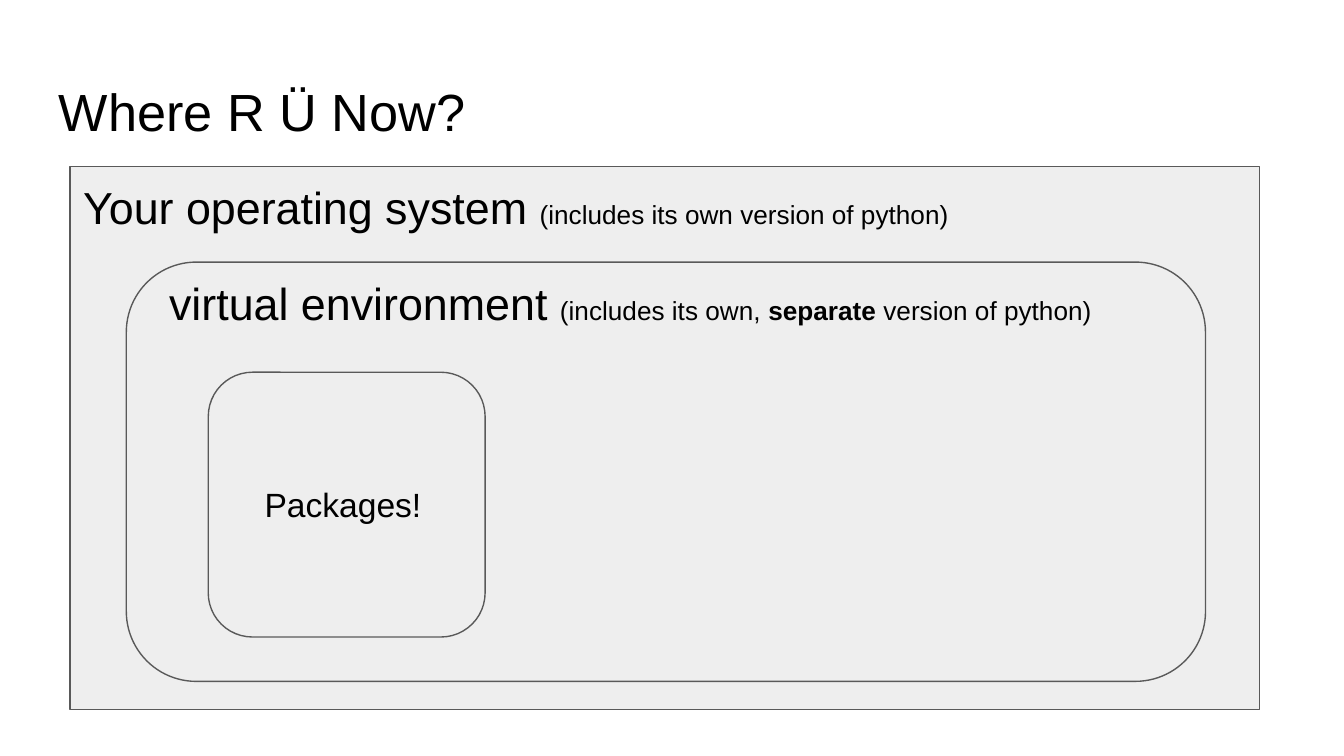
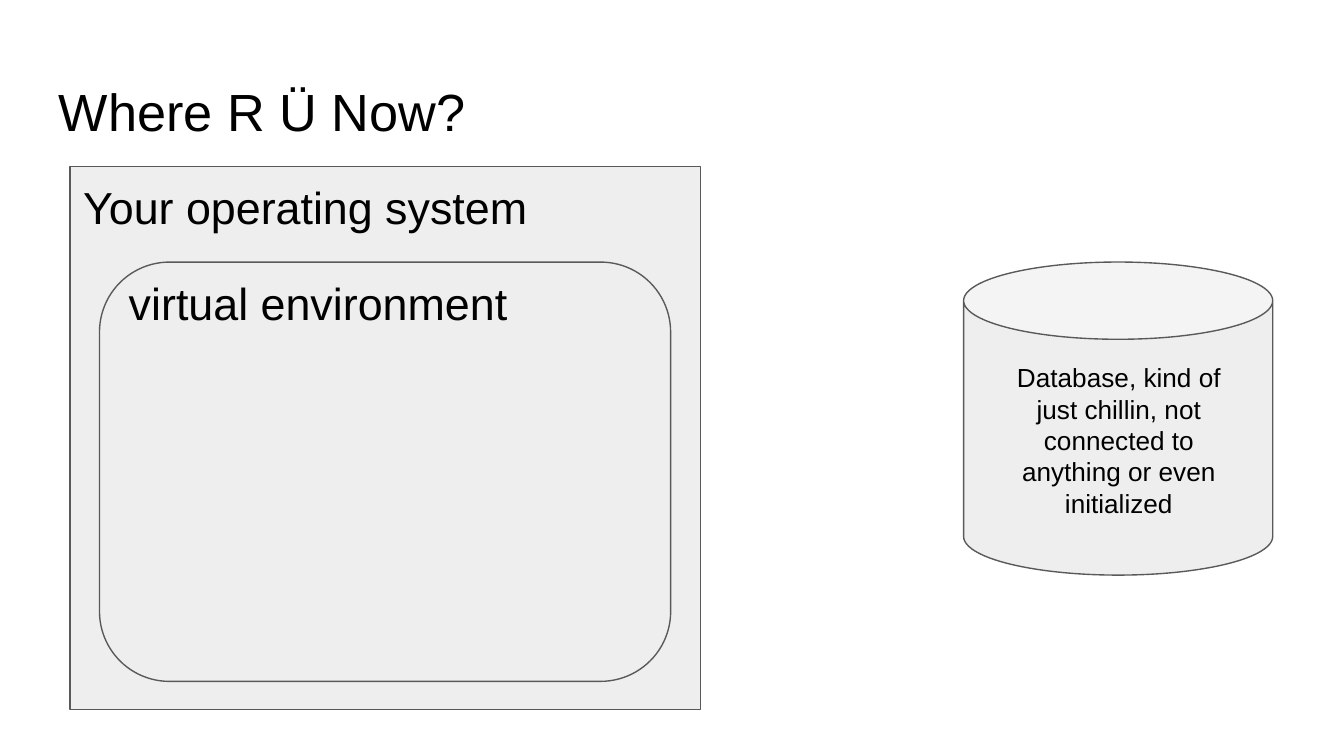
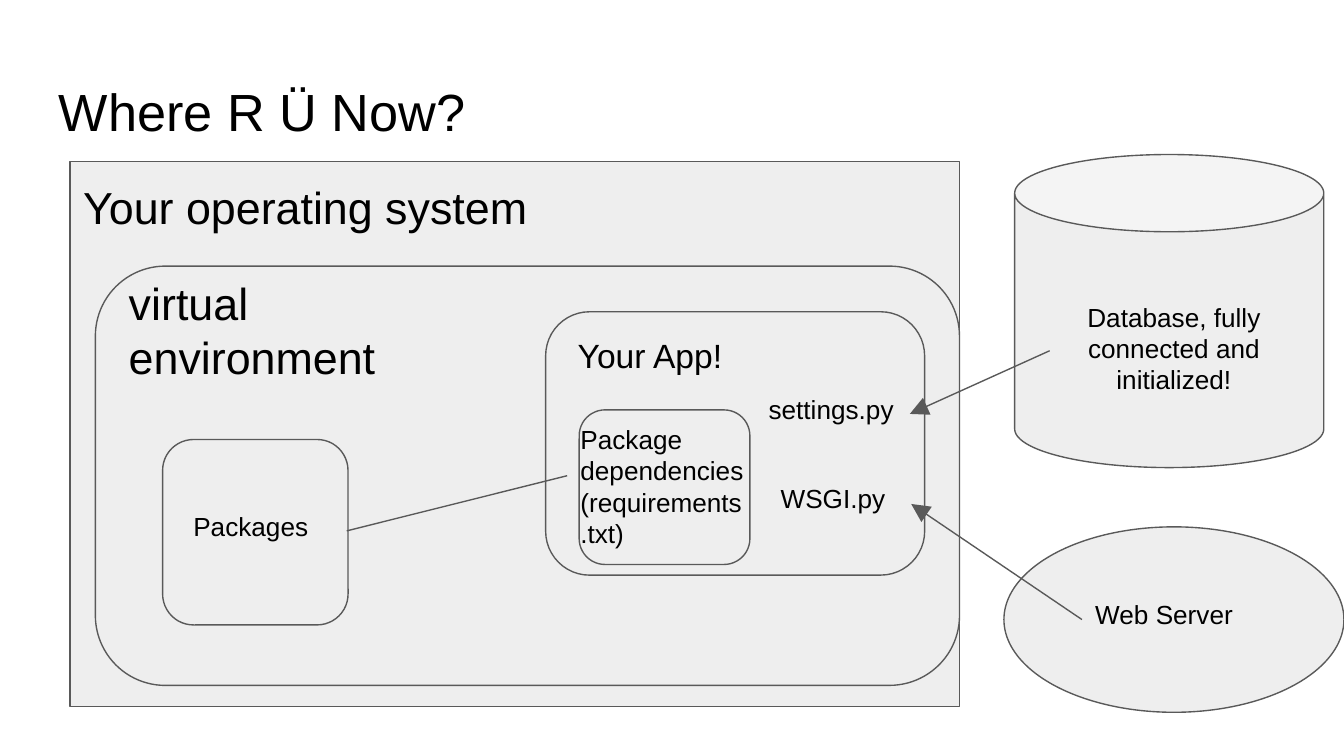
from lxml import etree
from pptx import Presentation
from pptx.dml.color import RGBColor
from pptx.enum.shapes import MSO_CONNECTOR, MSO_SHAPE
from pptx.enum.text import MSO_ANCHOR, PP_ALIGN
from pptx.oxml.ns import qn
from pptx.util import Pt

PX = 9144
SLIDE_WIDTH = 1000 * PX
SLIDE_HEIGHT = SLIDE_WIDTH * 9 // 16
FONT = "Arial"
COLORS = {"fill": "EEEEEE", "line": "595959", "text": "000000"}
LINE_WIDTH = Pt(0.75)
RECTANGLE = MSO_SHAPE.RECTANGLE
ROUNDED = MSO_SHAPE.ROUNDED_RECTANGLE
CAN = MSO_SHAPE.CAN
CIRCLE = MSO_SHAPE.FLOWCHART_CONNECTOR
STRAIGHT = MSO_CONNECTOR.STRAIGHT
TOP = MSO_ANCHOR.TOP
LEFT, CENTER = PP_ALIGN.LEFT, PP_ALIGN.CENTER
ADJUSTMENTS = {ROUNDED: 0.167, CAN: 0.25}
TITLE, HEADING, LABEL, SMALL = 28, 24, 18, 14


def style_line(line):
    line.color.rgb = RGBColor.from_string(COLORS["line"])
    line.width = LINE_WIDTH


def add_text(slide, bounds, size, content, alignment=LEFT):
    text_box = slide.shapes.add_textbox(*[value * PX for value in bounds])
    frame = text_box.text_frame
    frame.word_wrap = True
    frame.vertical_anchor = TOP
    frame.margin_left = frame.margin_right = 10 * PX
    frame.margin_top = frame.margin_bottom = 10 * PX
    paragraph = frame.paragraphs[0]
    paragraph.alignment = alignment
    runs = [(content, size, False)] if isinstance(content, str) else content
    for text, run_size, bold in runs:
        run = paragraph.add_run()
        run.text = text
        run.font.name = FONT
        run.font.size = Pt(run_size)
        run.font.bold = bold
        run.font.color.rgb = RGBColor.from_string(COLORS["text"])


system_note = [
    ("Your operating system ", HEADING, False),
    ("(includes its own version of python)", SMALL, False),
]
environment_note = [
    ("virtual environment ", HEADING, False),
    ("(includes its own, ", SMALL, False),
    ("separate", SMALL, True),
    (" version of python)", SMALL, False),
]
idle_database = "Database, kind of just chillin, not connected to anything or even initialized"

slides = [
    {
        "shapes": [
            (RECTANGLE, (52, 124, 885, 404)),
            (ROUNDED, (94, 195, 803, 312)),
            (ROUNDED, (155, 277, 206, 197)),
        ],
        "texts": [
            ((52, 124, 885, 52), HEADING, system_note),
            ((116, 195, 710, 52), HEADING, environment_note),
            ((187, 350, 143, 52), LABEL, "Packages!"),
        ],
        "connectors": [],
    },
    {
        "shapes": [
            (RECTANGLE, (52, 124, 469, 404)),
            (ROUNDED, (74, 195, 425, 312)),
            (CAN, (717, 195, 230, 233)),
        ],
        "texts": [
            ((52, 124, 469, 52), HEADING, "Your operating system"),
            ((86, 195, 376, 52), HEADING, "virtual environment"),
            ((740, 259, 185, 133), SMALL, idle_database, CENTER),
        ],
        "connectors": [],
    },
    {
        "shapes": [
            (RECTANGLE, (52, 120, 662, 406)),
            (ROUNDED, (71, 198, 643, 312)),
            (CAN, (755, 115, 230, 233)),
            (ROUNDED, (406, 232, 282, 196)),
            (CIRCLE, (747, 392, 253, 138)),
            (ROUNDED, (431, 305, 127, 115)),
            (ROUNDED, (121, 327, 138, 138)),
        ],
        "texts": [
            ((52, 124, 469, 52), HEADING, "Your operating system"),
            ((86, 195, 253, 88), HEADING, "virtual environment"),
            ((781, 214, 185, 93), SMALL, "Database, fully connected and initialized!", CENTER),
            ((420, 239, 138, 52), LABEL, "Your App!"),
            ((562, 283, 115, 52), SMALL, "settings.py"),
            ((571, 349, 107, 52), SMALL, "WSGI.py"),
            ((805, 435, 138, 52), SMALL, "Web Server"),
            ((422, 305, 145, 99), SMALL, "Package dependencies (requirements.txt)"),
            ((134, 370, 107, 52), SMALL, "Packages"),
        ],
        "connectors": [
            ((781, 261, 677, 308), True),
            ((805, 461, 678, 375), True),
            ((258, 395, 422, 354), False),
        ],
    },
]

presentation = Presentation()
presentation.slide_width = SLIDE_WIDTH
presentation.slide_height = SLIDE_HEIGHT
blank_layout = presentation.slide_layouts[6]

for content in slides:
    slide = presentation.slides.add_slide(blank_layout)
    add_text(slide, (34, 49, 932, 63), TITLE, "Where R Ü Now?")

    for kind, bounds in content["shapes"]:
        shape = slide.shapes.add_shape(kind, *[value * PX for value in bounds])
        shape.shadow.inherit = False
        shape.fill.solid()
        shape.fill.fore_color.rgb = RGBColor.from_string(COLORS["fill"])
        style_line(shape.line)
        if kind in ADJUSTMENTS:
            shape.adjustments[0] = ADJUSTMENTS[kind]

    for text in content["texts"]:
        add_text(slide, *text)

    for ends, has_arrow in content["connectors"]:
        connector = slide.shapes.add_connector(STRAIGHT, *[value * PX for value in ends])
        style_line(connector.line)
        properties = connector._element.spPr
        if has_arrow:
            arrowhead = etree.SubElement(properties.find(qn("a:ln")), qn("a:tailEnd"))
            arrowhead.set("type", "triangle")
            arrowhead.set("w", "lg")
            arrowhead.set("len", "lg")
        etree.SubElement(properties, qn("a:effectLst"))

presentation.save("out.pptx")
